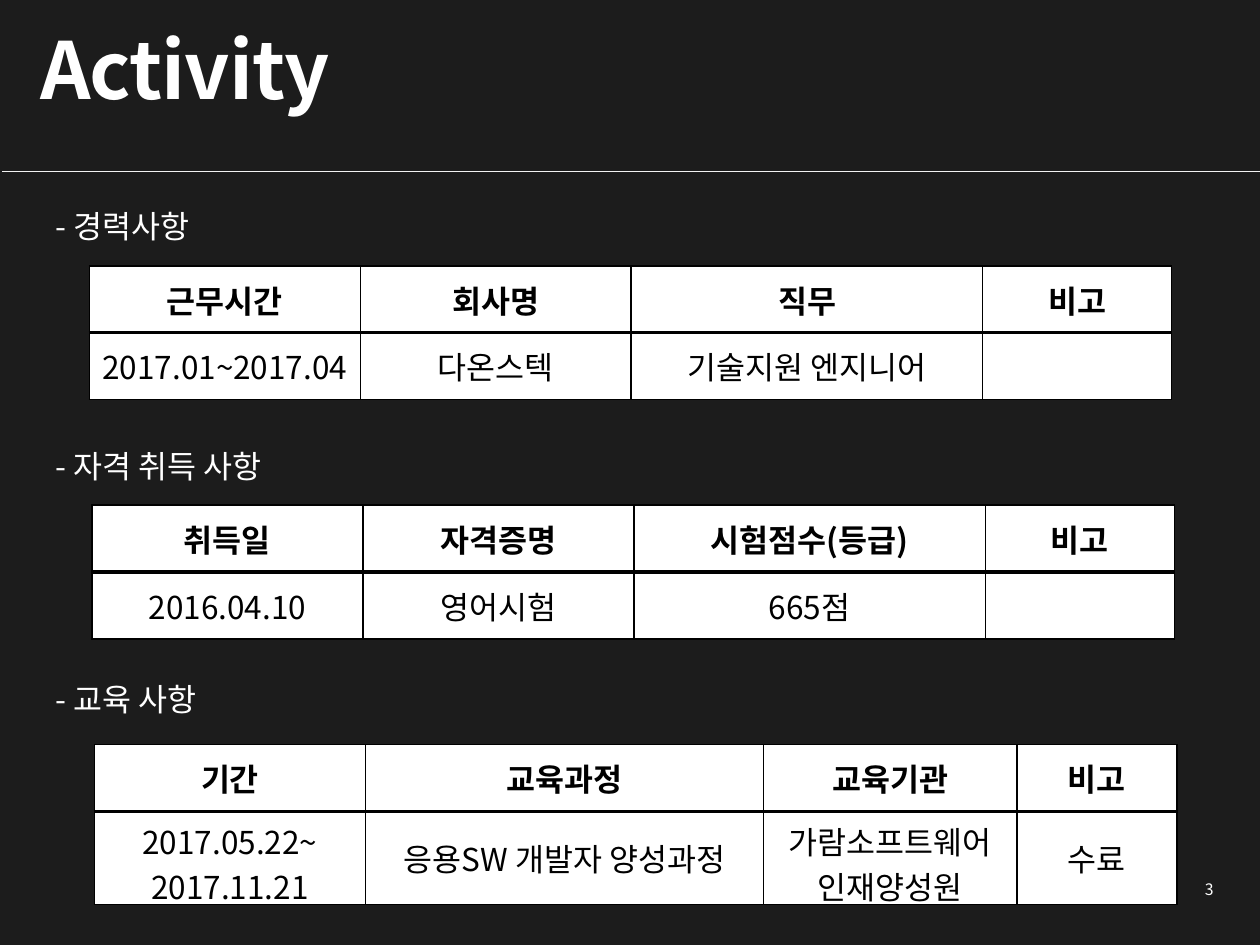
from lxml.etree import SubElement
from pptx import Presentation
from pptx.dml.color import RGBColor
from pptx.enum.shapes import MSO_CONNECTOR
from pptx.enum.text import MSO_ANCHOR, PP_ALIGN
from pptx.oxml.ns import qn
from pptx.util import Inches, Pt

FONT = "Noto Sans CJK KR"
DARK = RGBColor(0x1C, 0x1C, 0x1C)
WHITE = RGBColor(0xFF, 0xFF, 0xFF)
BLACK = RGBColor(0, 0, 0)
RULE = RGBColor(0xF2, 0xF2, 0xF2)

# Content
TITLE = "Activity"
PAGE_NUMBER = "3"
SECTIONS = [
    {"heading": "- 경력사항", "heading_top": 1.59, "left": 0.71, "top": 2.11,
     "columns": (2.15, 2.15, 2.79, 1.5), "rows": (0.53, 0.53),
     "cells": [("근무시간", "회사명", "직무", "비고"),
               ("2017.01~2017.04", "다온스텍", "기술지원 엔지니어", "")]},
    {"heading": "- 자격 취득 사항", "heading_top": 3.5, "left": 0.73, "top": 4.01,
     "columns": (2.15, 2.15, 2.79, 1.5), "rows": (0.53, 0.53),
     "cells": [("취득일", "자격증명", "시험점수(등급)", "비고"),
               ("2016.04.10", "영어시험", "665점", "")]},
    {"heading": "- 교육 사항", "heading_top": 5.35, "left": 0.75, "top": 5.91,
     "columns": (2.15, 3.16, 2.01, 1.27), "rows": (0.53, 0.74),
     "cells": [("기간", "교육과정", "교육기관", "비고"),
               ("2017.05.22~\n2017.11.21", "응용SW 개발자 양성과정",
                "가람소프트웨어 인재양성원", "수료")]},
]


def write_text(text_frame, text, size, color, bold=False, align=PP_ALIGN.LEFT):
    text_frame.text = text
    for paragraph in text_frame.paragraphs:
        paragraph.alignment = align
        for run in paragraph.runs:
            font = run.font
            font.name, font.size, font.bold = FONT, Pt(size), bold
            font.color.rgb = color
            SubElement(font._element, qn("a:ea"), typeface=FONT)


def add_text(slide, box, text, size, **style):
    text_frame = slide.shapes.add_textbox(*map(Inches, box)).text_frame
    text_frame.word_wrap = True
    write_text(text_frame, text, size, WHITE, **style)
    return text_frame


def set_borders(cell, widths):
    properties = cell._tc.get_or_add_tcPr()
    for index, (side, width) in enumerate(widths.items()):
        line = properties.makeelement(qn(f"a:ln{side}"), {"w": str(Pt(width))})
        fill = SubElement(line, qn("a:solidFill"))
        SubElement(fill, qn("a:srgbClr"), val=str(BLACK))
        properties.insert(index, line)


def add_section(slide, section):
    add_text(slide, (0.34, section["heading_top"], 9.34, 0.45), section["heading"], 18)
    columns, rows = section["columns"], section["rows"]
    box = section["left"], section["top"], sum(columns), sum(rows)
    table = slide.shapes.add_table(len(rows), len(columns), *map(Inches, box)).table
    table.first_row = table.horz_banding = False
    for column, width in zip(table.columns, columns):
        column.width = Inches(width)
    for row_index, (row, height) in enumerate(zip(table.rows, rows)):
        row.height = Inches(height)
        header = row_index == 0
        # A heavier rule divides the header from the entry
        top, bottom = (1, 2.25) if header else (2.25, 1)
        for cell, text in zip(row.cells, section["cells"][row_index]):
            cell.fill.solid()
            cell.fill.fore_color.rgb = WHITE
            cell.vertical_anchor = MSO_ANCHOR.MIDDLE
            write_text(cell.text_frame, text, 18, BLACK, header, PP_ALIGN.CENTER)
            set_borders(cell, {"L": 1, "R": 1, "T": top, "B": bottom})


presentation = Presentation()
presentation.slide_width, presentation.slide_height = Inches(10), Inches(7.5)
slide = presentation.slides.add_slide(presentation.slide_layouts[6])
slide.background.fill.solid()
slide.background.fill.fore_color.rgb = DARK

# Title
title = add_text(slide, (0.22, 0.2, 8.5, 1.12), TITLE, 45, bold=True).paragraphs[0]
title.line_spacing = 0.9
title.runs[0].font._element.set("spc", "-50")

# Rule under the title
rule = slide.shapes.add_connector(
    MSO_CONNECTOR.STRAIGHT, *map(Inches, (0.02, 1.36, 10.13, 1.36)))
rule.line.color.rgb = RULE
rule.line.width = Pt(0.25)
SubElement(rule._element.spPr, qn("a:effectLst"))

# Headings with their tables
for section in SECTIONS:
    add_section(slide, section)

# Page number
number = add_text(slide, (9.45, 6.93, 0.28, 0.25), PAGE_NUMBER, 9, align=PP_ALIGN.RIGHT)
number.vertical_anchor = MSO_ANCHOR.MIDDLE

presentation.save("out.pptx")
